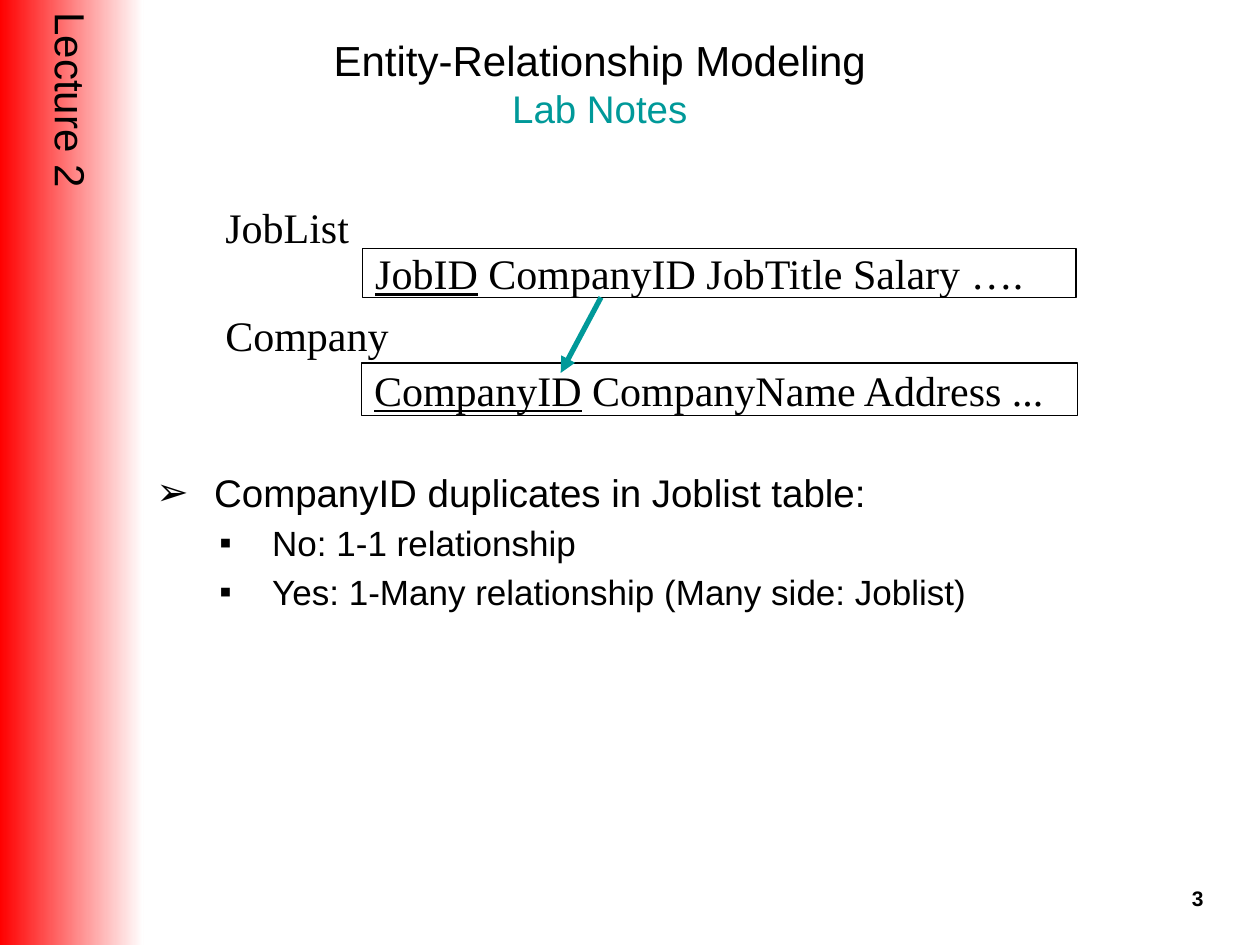
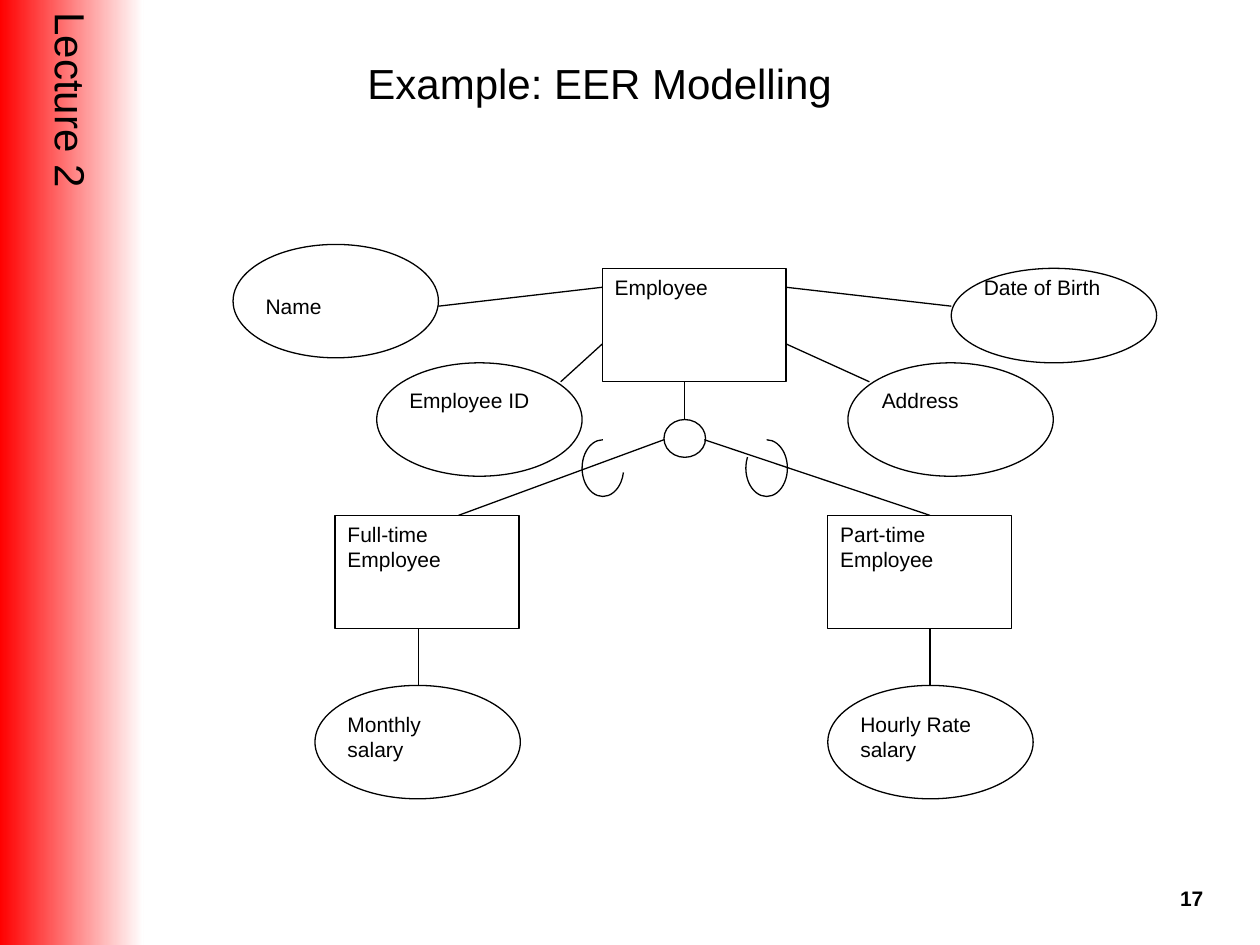
from lxml import etree
from pptx import Presentation
from pptx.dml.color import RGBColor
from pptx.enum.shapes import MSO_CONNECTOR, MSO_SHAPE
from pptx.enum.text import MSO_ANCHOR, MSO_AUTO_SIZE, PP_ALIGN
from pptx.oxml.ns import qn
from pptx.util import Inches, Pt

RECTANGLE, ELLIPSE, ARC = MSO_SHAPE.RECTANGLE, MSO_SHAPE.OVAL, MSO_SHAPE.ARC
STRAIGHT = MSO_CONNECTOR.STRAIGHT
LEFT, CENTER, RIGHT = PP_ALIGN.LEFT, PP_ALIGN.CENTER, PP_ALIGN.RIGHT
TOP, MIDDLE = MSO_ANCHOR.TOP, MSO_ANCHOR.MIDDLE
FIXED, GROW = MSO_AUTO_SIZE.NONE, MSO_AUTO_SIZE.SHAPE_TO_FIT_TEXT

COLORS = {"text": "000000", "accent": "009999", "band": "FF0000", "paper": "FFFFFF"}
SANS, SERIF = "Arial", "Times New Roman"
TITLE_AND_BODY, TITLE_ONLY = 1, 5

BAND_WIDTH = 1.14
ENTITY_SIZE = (1.46, 0.9)
ATTRIBUTE_SIZE = (1.63, 0.9)
ARC_SIZE = (0.33, 0.45)


def rgb(name):
    return RGBColor.from_string(COLORS[name])


def add_run(paragraph, text, size, font=SANS, color="text", bold=False, underline=False):
    run = paragraph.add_run()
    run.text = text
    run.font.name, run.font.size = font, Pt(size)
    run.font.color.rgb = rgb(color)
    run.font.bold, run.font.underline = bold, underline


def set_frame(shape, anchor=TOP, wrap=True, fit=FIXED):
    frame = shape.text_frame
    frame.vertical_anchor, frame.word_wrap, frame.auto_size = anchor, wrap, fit
    return frame


def place(shape, left, top, width, height):
    shape.left, shape.top = Inches(left), Inches(top)
    shape.width, shape.height = Inches(width), Inches(height)


def add_text(slide, box, text, size, font=SANS, align=LEFT, bold=False, wrap=True, fit=FIXED):
    label = slide.shapes.add_textbox(*map(Inches, box))
    paragraph = set_frame(label, wrap=wrap, fit=fit).paragraphs[0]
    paragraph.alignment = align
    add_run(paragraph, text, size, font, bold=bold)


def add_outlined(slide, kind, left, top, width, height, filled=True):
    shape = slide.shapes.add_shape(kind, *map(Inches, (left, top, width, height)))
    shape.shadow.inherit = False
    if filled:
        shape.fill.solid()
        shape.fill.fore_color.rgb = rgb("paper")
    else:
        shape.fill.background()
    shape.line.color.rgb = rgb("text")
    shape.line.width = Pt(0.75)
    return shape


def add_line(slide, start, end, color="text", width=0.75, arrow=False):
    line = slide.shapes.add_connector(STRAIGHT, *map(Inches, (*start, *end)))
    line.line.color.rgb = rgb(color)
    line.line.width = Pt(width)
    properties = line.element.spPr
    if arrow:
        etree.SubElement(properties.find(qn("a:ln")), qn("a:tailEnd"), type="triangle")
    etree.SubElement(properties, qn("a:effectLst"))


# Shared frame: gradient band, page number, title
def add_framed_slide(deck, layout, number, title, subtitle=None):
    slide = deck.slides.add_slide(deck.slide_layouts[layout])

    band = slide.shapes.add_shape(RECTANGLE, 0, 0, Inches(BAND_WIDTH), deck.slide_height)
    band.shadow.inherit = False
    band.line.fill.background()
    band.fill.gradient()
    band.fill.gradient_angle = 0
    for stop, position, color in zip(band.fill.gradient_stops, (0, 1), ("band", "paper")):
        stop.position, stop.color.rgb = position, rgb(color)
    frame = set_frame(band, MIDDLE, wrap=False)
    band.element.txBody.find(qn("a:bodyPr")).set("vert", "eaVert")
    frame.paragraphs[0].alignment = CENTER
    add_run(frame.paragraphs[0], "Lecture 2", 24)

    add_text(slide, (9.02, 6.98, 0.63, 0.52), str(number), 12, align=RIGHT, bold=True)

    heading = slide.shapes.title
    place(heading, BAND_WIDTH, 0, 7.24, 1.31)
    paragraph = set_frame(heading, MIDDLE, wrap=False).paragraphs[0]
    paragraph.alignment = CENTER
    add_run(paragraph, title, 24)
    if subtitle:
        paragraph.add_line_break()
        add_run(paragraph, subtitle, 22, color="accent")
    return slide


def add_bullets(slide, items):
    styles = [("➢", 0.46, -0.46, 22), ("▪", 0.92, -0.42, 20)]
    body = slide.placeholders[1]
    place(body, BAND_WIDTH, 3.67, 8.51, 3.15)
    frame = set_frame(body)
    for index, (level, text) in enumerate(items):
        mark, margin, indent, size = styles[level]
        paragraph = frame.add_paragraph() if index else frame.paragraphs[0]
        paragraph.level = level
        properties = paragraph._p.get_or_add_pPr()
        properties.set("marL", str(Inches(margin)))
        properties.set("indent", str(Inches(indent)))
        etree.SubElement(properties, qn("a:buChar"), char=mark)
        add_run(paragraph, text, size)


def add_relation(slide, name, name_box, key, columns, box):
    row = add_outlined(slide, RECTANGLE, *box)
    paragraph = set_frame(row, MIDDLE).paragraphs[0]
    paragraph.alignment = LEFT
    add_run(paragraph, key, 24, SERIF, underline=True)
    add_run(paragraph, columns, 24, SERIF)
    add_text(slide, name_box, name, 24, SERIF, wrap=False, fit=GROW)


def add_entity(slide, left, top, lines):
    entity = add_outlined(slide, RECTANGLE, left, top, *ENTITY_SIZE)
    frame = set_frame(entity)
    for index, text in enumerate(lines):
        paragraph = frame.add_paragraph() if index else frame.paragraphs[0]
        paragraph.alignment = LEFT
        add_run(paragraph, text, 12)


def add_attribute(slide, left, top, text, label_at, height=ATTRIBUTE_SIZE[1], label_width=1.14):
    add_outlined(slide, ELLIPSE, left, top, ATTRIBUTE_SIZE[0], height)
    add_text(slide, (*label_at, label_width, 0.6), text, 12)


def add_subset_arc(slide, left, top, start, end):
    arc = add_outlined(slide, ARC, left, top, *ARC_SIZE, filled=False)
    # One degree is 60000 units, and adjustments count in 100000s
    arc.adjustments[0], arc.adjustments[1] = start * 0.6, end * 0.6


def build_lab_notes(deck):
    slide = add_framed_slide(deck, TITLE_AND_BODY, 3,
                             "Entity-Relationship Modeling", "Lab Notes")
    add_bullets(slide, [
        (0, "CompanyID duplicates in Joblist table:"),
        (1, "No: 1-1 relationship"),
        (1, "Yes: 1-Many relationship (Many side: Joblist)"),
    ])
    # Relations and the foreign key between them
    add_relation(slide, "JobList", (1.69, 1.55, 1.18, 0.5),
                 "JobID", " CompanyID JobTitle Salary ….", (2.88, 1.97, 5.66, 0.39))
    add_relation(slide, "Company", (1.69, 2.41, 1.5, 0.5),
                 "CompanyID", " CompanyName Address ...", (2.87, 2.88, 5.68, 0.42))
    add_line(slide, (4.77, 2.36), (4.45, 2.96), "accent", 3, arrow=True)


def build_eer_example(deck):
    slide = add_framed_slide(deck, TITLE_ONLY, 17, "Example: EER Modelling")

    # Supertype and its subtypes
    add_entity(slide, 4.78, 2.13, ["Employee"])
    add_entity(slide, 2.66, 4.09, ["Full-time", "Employee"])
    add_entity(slide, 6.57, 4.09, ["Part-time", "Employee"])

    # Attributes
    add_attribute(slide, 1.85, 1.94, "Name", (2.01, 2.28))
    add_attribute(slide, 2.99, 2.88, "Employee ID", (3.15, 3.03), label_width=1.3)
    add_attribute(slide, 7.55, 2.13, "Date of Birth", (7.71, 2.13), height=0.75)
    add_attribute(slide, 6.73, 2.88, "Address", (6.9, 3.03))
    add_attribute(slide, 2.5, 5.44, "Monthly salary", (2.66, 5.6))
    add_attribute(slide, 6.57, 5.44, "Hourly Rate salary", (6.73, 5.6))

    # Specialization circle and subset signs
    add_outlined(slide, ELLIPSE, 5.27, 3.33, 0.33, 0.3)
    add_subset_arc(slide, 4.62, 3.49, 12, 270)
    add_subset_arc(slide, 5.92, 3.49, 270, 210)

    # Links
    for start, end in [
        ((5.43, 3.03), (5.43, 3.33)),
        ((5.27, 3.49), (3.64, 4.09)),
        ((5.59, 3.49), (7.38, 4.09)),
        ((3.48, 2.43), (4.78, 2.28)),
        ((4.45, 3.03), (4.78, 2.73)),
        ((6.9, 3.03), (6.24, 2.73)),
        ((7.55, 2.43), (6.24, 2.28)),
        ((3.32, 4.99), (3.32, 5.44)),
        ((7.38, 4.99), (7.38, 5.44)),
    ]:
        add_line(slide, start, end)


def main():
    deck = Presentation()
    deck.slide_width, deck.slide_height = Inches(10), Inches(7.5)
    build_lab_notes(deck)
    build_eer_example(deck)
    deck.save("out.pptx")


main()
